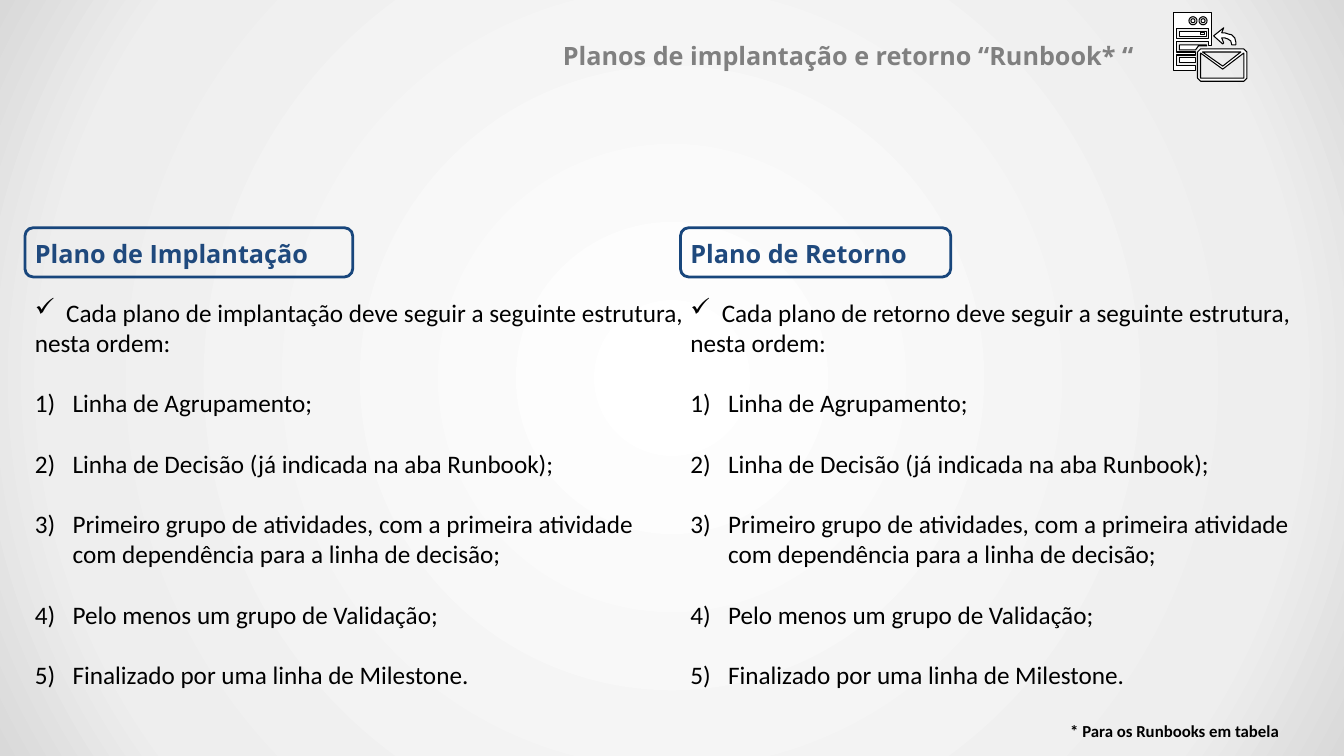
import math
from pptx import Presentation, util as u
from pptx.dml.color import RGBColor
from pptx.enum import shapes, text
from pptx.oxml import parse_xml
from pptx.oxml.ns import nsdecls

COLORS = {"title": "808080", "heading": "1F497D", "frame": "18467C", "body": "000000",
          "white": "FFFFFF", "mist": "EEEEEE", "edge": "D9D9D9"}

deck = Presentation()
deck.slide_width, deck.slide_height = u.Cm(33.87), u.Cm(19.05)
slide = deck.slides.add_slide(deck.slide_layouts[6])

stops = "".join(f'<a:gs pos="{pos}"><a:srgbClr val="{COLORS[name]}"/></a:gs>'
                for pos, name in [(0, "white"), (81000, "mist"), (100000, "edge")])
backdrop = parse_xml(
    f'<p:bg {nsdecls("p", "a")}><p:bgPr><a:gradFill rotWithShape="1"><a:gsLst>{stops}</a:gsLst>'
    '<a:path path="circle"><a:fillToRect l="50000" t="50000" r="50000" b="50000"/></a:path>'
    '</a:gradFill><a:effectLst/></p:bgPr></p:bg>')
slide.element.cSld.insert(0, backdrop)


def add_frame(left, top, width, height):
    frame = slide.shapes.add_textbox(u.Cm(left), u.Cm(top), u.Cm(width), u.Cm(height)).text_frame
    frame.word_wrap = True
    return frame


def write(frame, words, size=18, font="Calibri", color="body", bold=False,
          align=text.PP_ALIGN.LEFT, before=0, indent=0, bullet=None):
    paragraph = frame.paragraphs[0]
    if paragraph.runs:
        paragraph = frame.add_paragraph()
    paragraph.text = words
    paragraph.alignment = align
    paragraph.space_before = u.Pt(before)
    for run in paragraph.runs:
        run.font.size, run.font.name, run.font.bold = u.Pt(size), font, bold
        run.font.color.rgb = RGBColor.from_string(COLORS[color])
    if bullet:
        props = paragraph._p.get_or_add_pPr()
        props.set("marL", str(u.Cm(indent)))
        props.set("indent", str(-u.Cm(indent)))
        props.append(parse_xml(bullet))


title = add_frame(11.65, 0.89, 17.17, 1.2)
write(title, "Planos de implantação e retorno “Runbook* “", font="Open Sans", color="title",
      bold=True, align=text.PP_ALIGN.RIGHT)

reels = [[(x + radius * math.cos(k * math.pi / 8), 8 + radius * math.sin(k * math.pi / 8))
          for k in range(16)] for x in (19.5, 29.5) for radius in (2, 4)]
panels = [[(left, top), (right, top), (right, bottom), (left, bottom)]
          for left, top, right, bottom in [(3, 16, 35, 26), (6, 19, 33, 24),
                                           (27, 20, 31, 22), (6, 44, 22, 49)]]
server = [
    [(0, 0), (38, 0), (38, 33), (35, 33), (35, 29), (3, 29), (3, 39), (22, 39),
     (22, 42), (3, 42), (3, 52), (22, 52), (22, 57), (0, 57)],
    [(6, 32), (33, 32), (33, 33), (25, 33), (22, 37), (6, 37)]]
envelope = [
    [(27, 36), (70, 36), (73, 39), (73, 65), (70, 68), (27, 68), (24, 65), (24, 39)],
    [(29, 39), (49, 53), (67, 39)],
    [(27, 40), (49, 56), (70, 40), (70, 65), (27, 65)]]
reply_arrow = [(50, 15), (48, 20), (51, 20), (54, 21), (58, 22), (61, 25), (62, 29), (62, 32),
               (58, 32), (57, 28), (54, 26), (51, 25), (48, 25), (50, 30), (49, 31), (40, 23)]

pen = slide.shapes.build_freeform(0, 0, scale=u.Cm(2.54) / 1000)
for index, outline in enumerate(server + panels + reels + envelope + [reply_arrow]):
    points = [(x * 10, y * 10) for x, y in outline]
    if index:
        pen.move_to(*points[0])
    pen.add_line_segments(points[1:], close=True)
mail_server = pen.convert_to_shape(u.Cm(29.57), u.Cm(0.32))
mail_server.shadow.inherit = False
mail_server.fill.solid()
mail_server.fill.fore_color.rgb = RGBColor.from_string(COLORS["white"])
mail_server.line.color.rgb = RGBColor.from_string(COLORS["body"])
mail_server.line.width = u.Pt(0)

check = f'<a:buChar {nsdecls("a")} char="✓"/>'
number = f'<a:buAutoNum {nsdecls("a")} type="arabicParenR"/>'
steps = ["Linha de Agrupamento;",
         "Linha de Decisão (já indicada na aba Runbook);",
         "Primeiro grupo de atividades, com a primeira atividade\vcom dependência para a linha de decisão;",
         "Pelo menos um grupo de Validação;",
         "Finalizado por uma linha de Milestone."]

for plan, left, width, heading_width in [("Retorno", 17.15, 16.7, 6.81),
                                         ("Implantação", 0.63, 17.4, 8.26)]:
    column = add_frame(left, 5.87, width, 12.5)
    write(column, f"Plano de {plan}", font="Open Sans", color="heading", bold=True)
    write(column, f"Cada plano de {plan.lower()} deve seguir a seguinte estrutura,",
          before=20.5, indent=0.79, bullet=check)
    write(column, "nesta ordem:")
    for step in steps:
        write(column, step, before=21.6, indent=0.95, bullet=number)

    border = slide.shapes.add_shape(shapes.MSO_SHAPE.ROUNDED_RECTANGLE, u.Cm(left), u.Cm(5.74),
                                    u.Cm(heading_width), u.Cm(1.24))
    border.shadow.inherit = False
    border.fill.background()
    border.line.color.rgb = RGBColor.from_string(COLORS["frame"])
    border.line.width = u.Pt(2)

footnote = add_frame(26.72, 18.03, 6, 0.77)
write(footnote, "* Para os Runbooks em tabela", size=12, bold=True)

deck.save("out.pptx")
